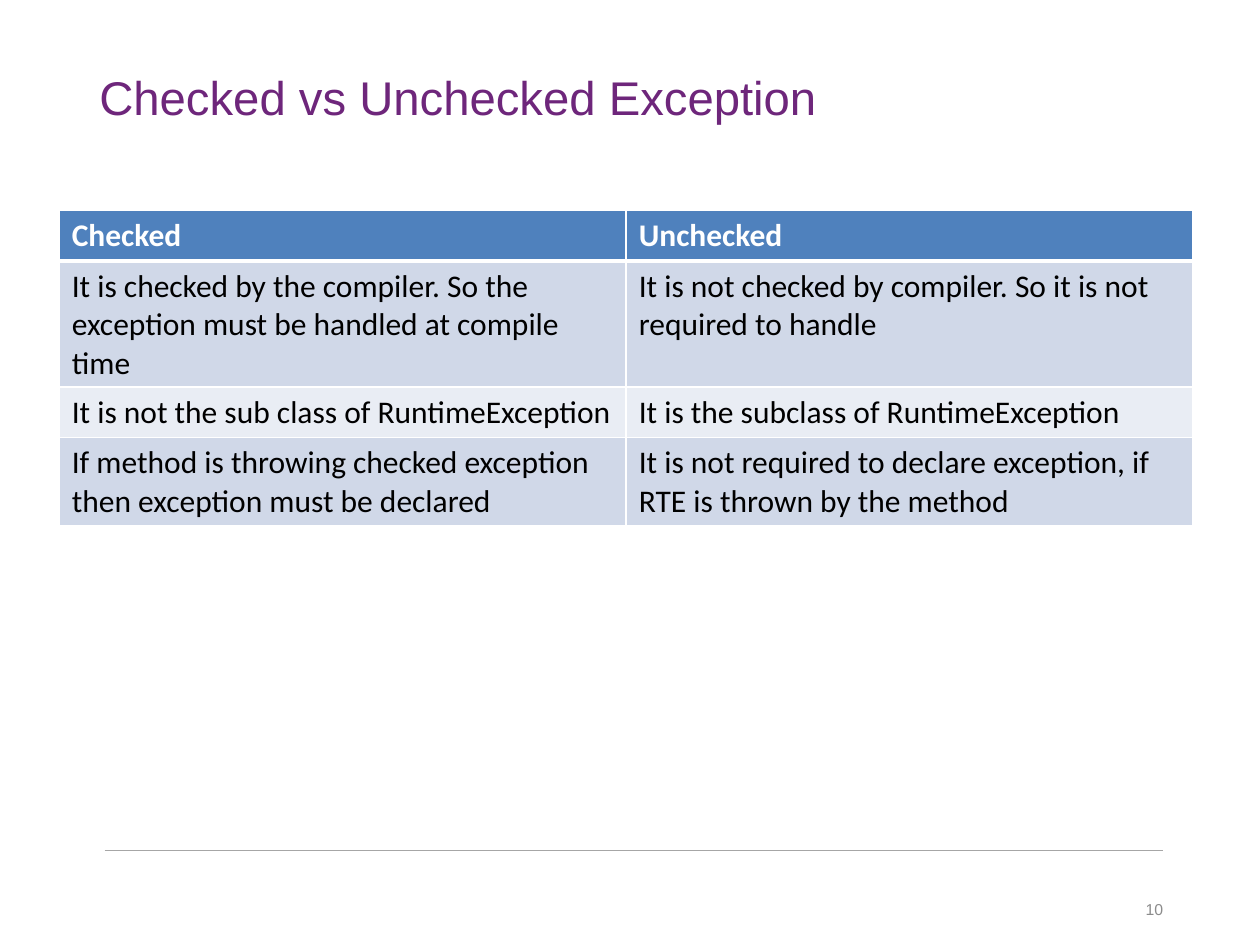
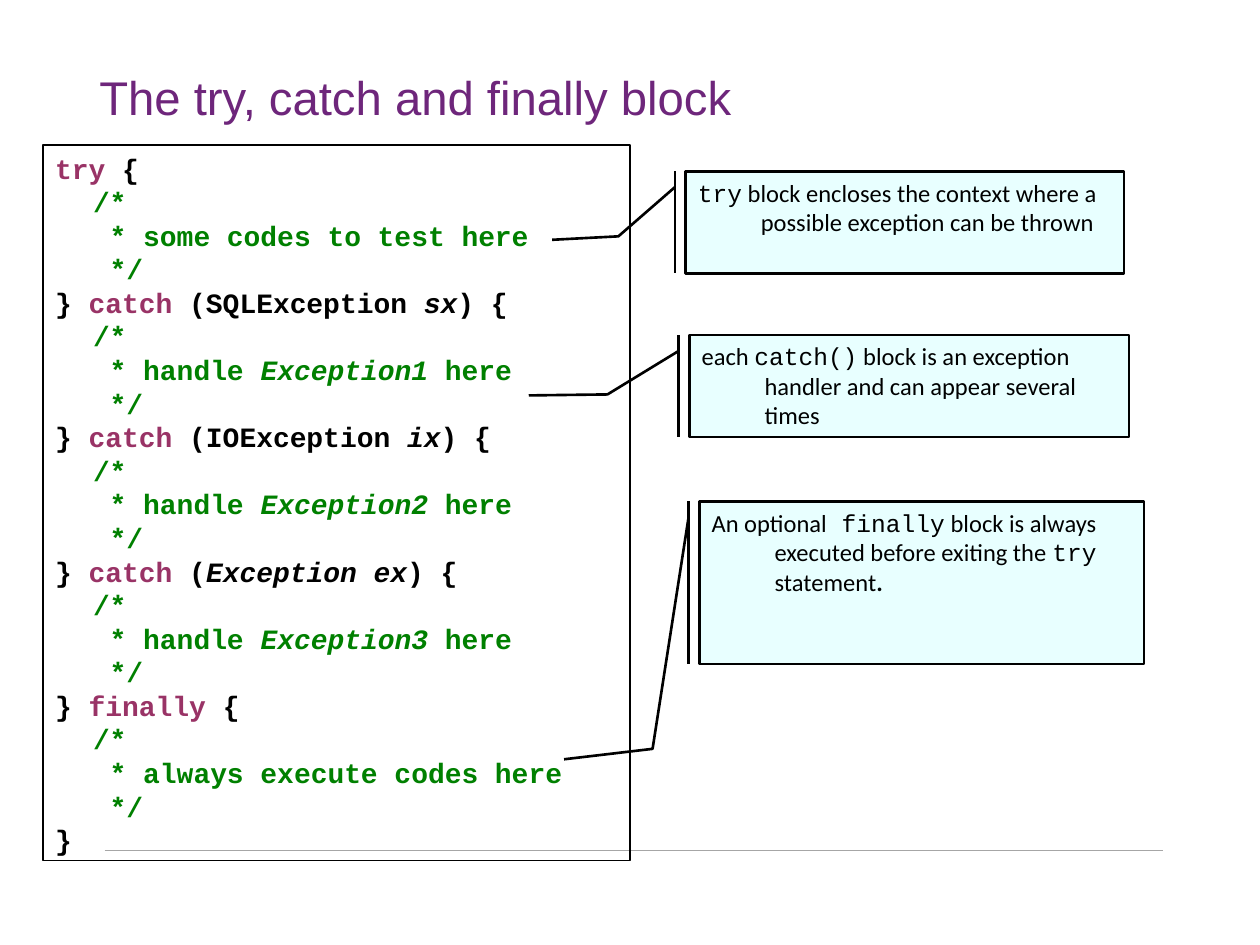
from lxml import etree
from pptx import Presentation, util as u
from pptx.dml.color import RGBColor
from pptx.enum import shapes, text
from pptx.oxml import ns

deck = Presentation()
deck.slide_width, deck.slide_height = u.Inches(10), u.Inches(7.5)
COLUMN = deck.slide_width / 100   # grid of 100 columns
ROW = deck.slide_height / 75      # and 75 rows
colour = RGBColor.from_string

# Shared colours and text formats
BLACK, WHITE, PURPLE, RULE_GREY = "000000", "FFFFFF", "6E267B", "A6A6A6"
HEADER_BLUE, BANDS, CALLOUT_FILL = "4F81BD", ["D0D8E8", "E9EDF4"], "CCFFFF"
TITLE = dict(name="Arial", size=u.Pt(27), color=PURPLE)
NUMBER = dict(name="Arial", size=u.Pt(9), color="8C8C8C")
HEADER = dict(name="Calibri", size=u.Pt(18), bold=True, color=WHITE)
CELL = dict(HEADER, bold=False, color=BLACK)
CODE = dict(name="Courier New", size=u.Pt(16), bold=True, color=BLACK)
KEYWORD = dict(CODE, color="993366")
VARIABLE = dict(CODE, italic=True)
COMMENT = dict(CODE, color="008000")
COMMENT_NAME = dict(COMMENT, italic=True)
PROSE = dict(name="Calibri", size=u.Pt(14), color=BLACK)
INLINE = dict(PROSE, name="Courier New")


def place(column, row, columns, rows):
    return [round(n) for n in (column * COLUMN, row * ROW, columns * COLUMN, rows * ROW)]


def write(paragraph, runs, margin=0.0, hanging=0.0):
    properties = paragraph._p.get_or_add_pPr()
    properties.set("marL", str(round(margin * COLUMN)))
    properties.set("indent", str(round(-hanging * COLUMN)))
    for words, style in runs:
        run = paragraph.add_run()
        run.text = words
        for key, value in style.items():
            if key == "color":
                run.font.color.rgb = colour(value)
            else:
                setattr(run.font, key, value)


# Footer rule and title on both slides
pages = []
for heading in ["Checked vs Unchecked Exception", "The try, catch and finally block"]:
    page = deck.slides.add_slide(deck.slide_layouts[6])
    left, top, width, _ = place(8.3, 67.5, 84, 0)
    rule = page.shapes.add_connector(shapes.MSO_CONNECTOR.STRAIGHT, left, top, left + width, top)
    rule.line.color.rgb, rule.line.width = colour(RULE_GREY), u.Pt(0.75)
    etree.SubElement(rule._element.spPr, ns.qn("a:effectLst"))
    title = page.shapes.add_textbox(*place(5, 4.2, 90, 7)).text_frame
    title.word_wrap, title.vertical_anchor = True, text.MSO_ANCHOR.MIDDLE
    write(title.paragraphs[0], [(heading, TITLE)], margin=1.9)
    pages.append(page)
comparison, blocks = pages

# Checked and unchecked exceptions side by side
contrasts = [
    ("Checked", "Unchecked"),
    ("It is checked by the compiler. So the exception must be handled at compile time",
     "It is not checked by compiler. So it is not required to handle"),
    ("It is not the sub class of RuntimeException", "It is the subclass of RuntimeException"),
    ("If method is throwing checked exception then exception must be declared",
     "It is not required to declare exception, if RTE is thrown by the method"),
]
row_heights = [4, 10, 4, 7]
table = comparison.shapes.add_table(
    len(contrasts), 2, *place(4.7, 16.7, 90, sum(row_heights))).table
for r, contrast in enumerate(contrasts):
    table.rows[r].height = round(row_heights[r] * ROW)
    for c, statement in enumerate(contrast):
        cell = table.cell(r, c)
        for side in "LRTB":
            heavy = (r == 0 and side == "B") or (r == 1 and side == "T")
            edge = etree.SubElement(cell._tc.get_or_add_tcPr(), ns.qn(f"a:ln{side}"),
                                    w=str(u.Pt(3 if heavy else 1)))
            fill = etree.SubElement(edge, ns.qn("a:solidFill"))
            etree.SubElement(fill, ns.qn("a:srgbClr"), val=WHITE)
        cell.fill.solid()
        cell.fill.fore_color.rgb = colour(BANDS[(r - 1) % 2] if r else HEADER_BLUE)
        write(cell.text_frame.paragraphs[0], [(statement, CELL if r else HEADER)])

# Slide number
number = comparison.shapes.add_textbox(*place(70, 70.2, 23.3, 4)).text_frame
number.word_wrap, number.vertical_anchor = True, text.MSO_ANCHOR.MIDDLE
number.paragraphs[0].alignment = text.PP_ALIGN.RIGHT
write(number.paragraphs[0], [("10", NUMBER)])

# Code listing: each block is an opening line and a comment
code_lines = []
openings = [
    ([("try", KEYWORD), (" {", CODE)], [("some codes to test here", COMMENT)])]
for number_caught, (kind, caught) in enumerate(
        [("SQLException ", "sx"), ("IOException ", "ix"), ("", "Exception ex")], start=1):
    openings.append((
        [("} ", CODE), ("catch", KEYWORD), (f" ({kind}", CODE), (caught, VARIABLE), (") {", CODE)],
        [("handle ", COMMENT), (f"Exception{number_caught}", COMMENT_NAME), (" here", COMMENT)]))
openings.append((
    [("} ", CODE), ("finally", KEYWORD), (" {", CODE)], [("always execute codes here", COMMENT)]))
for opening, remark in openings:
    code_lines += [opening, [("\t/*", COMMENT)],
                   [("\t * ", COMMENT)] + remark, [("\t */", COMMENT)]]
code_lines.append([("}", CODE)])

listing = blocks.shapes.add_shape(shapes.MSO_SHAPE.RECTANGLE, *place(3.4, 11.5, 46.6, 56.8))
listing.shadow.inherit = False
listing.fill.background()
listing.line.color.rgb, listing.line.width = colour(BLACK), u.Pt(1)
listing.text_frame.vertical_anchor = text.MSO_ANCHOR.TOP
for i, code_line in enumerate(code_lines):
    paragraph = listing.text_frame.add_paragraph() if i else listing.text_frame.paragraphs[0]
    paragraph.alignment = text.PP_ALIGN.LEFT
    paragraph.line_spacing = u.Pt(19.2)
    write(paragraph, code_line, margin=3, hanging=3)

# Callouts pointing into the listing: place, pointer bends, explanation
callouts = [
    ((54.4, 13.6, 34.8, 8.1), (0.155, -0.024, 0.637, -0.153, 0.671, -0.304),
     [("try", INLINE), (" block encloses the context where a possible exception can be thrown",
                        PROSE)]),
    ((54.7, 26.6, 34.9, 8.1), (0.155, -0.024, 0.581, -0.186, 0.591, -0.365),
     [("each ", PROSE), ("catch()", INLINE),
      (" block is an exception handler and can appear several times", PROSE)]),
    ((55.5, 39.8, 35.3, 12.9), (0.097, -0.024, 1.522, -0.105, 1.586, -0.304),
     [("An optional", PROSE), (" finally", INLINE),
      (" block is always executed before exiting the ", PROSE), ("try", INLINE),
      (" statement", PROSE), (".", dict(PROSE, bold=True))]),
]
for spot, bends, explanation in callouts:
    callout = blocks.shapes.add_shape(
        shapes.MSO_SHAPE.LINE_CALLOUT_2_BORDER_AND_ACCENT_BAR, *place(*spot))
    callout.shadow.inherit = False
    for i, bend in enumerate(bends):
        callout.adjustments[i] = bend
    callout.fill.solid()
    callout.fill.fore_color.rgb = colour(CALLOUT_FILL)
    tint = callout._element.spPr.find(ns.qn("a:solidFill"))[0]
    etree.SubElement(tint, ns.qn("a:alpha"), val="45000")
    callout.line.color.rgb, callout.line.width = colour(BLACK), u.Pt(1.5)
    callout.text_frame.vertical_anchor = text.MSO_ANCHOR.TOP
    callout.text_frame.paragraphs[0].alignment = text.PP_ALIGN.LEFT
    write(callout.text_frame.paragraphs[0], explanation, margin=5, hanging=5)

deck.save("out.pptx")
